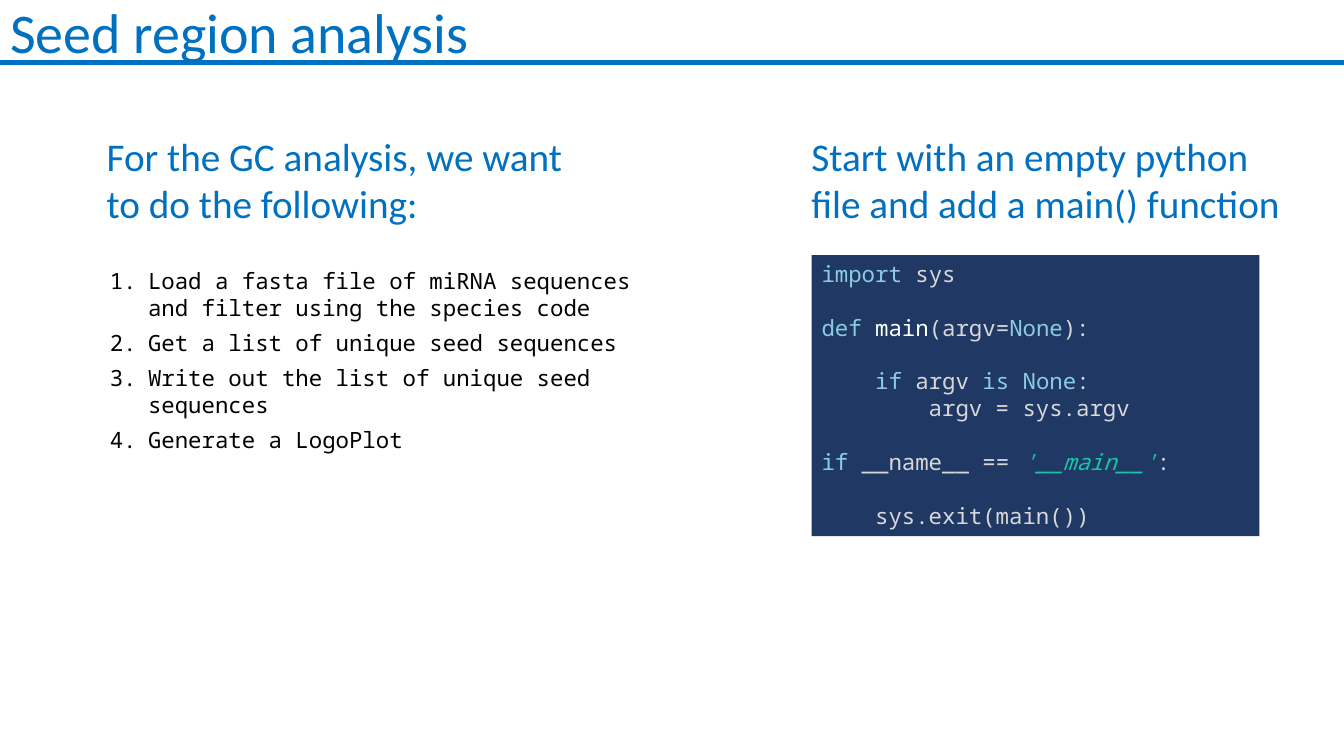
from lxml import etree
from pptx import Presentation
from pptx.dml.color import RGBColor
from pptx.enum.shapes import MSO_CONNECTOR, MSO_SHAPE
from pptx.enum.text import MSO_ANCHOR, MSO_AUTO_SIZE, PP_ALIGN
from pptx.oxml.ns import qn
from pptx.util import Inches, Pt

RECTANGLE = MSO_SHAPE.RECTANGLE
STRAIGHT = MSO_CONNECTOR.STRAIGHT
TOP, MIDDLE = MSO_ANCHOR.TOP, MSO_ANCHOR.MIDDLE
LEFT = PP_ALIGN.LEFT
FIXED_SIZE = MSO_AUTO_SIZE.NONE

SLIDE_WIDTH, SLIDE_HEIGHT = 13.33, 7.5
BLUE, BLACK, NAVY = "0070C0", "000000", "203864"
KEYWORD, PLAIN, FUNCTION, STRING = "8DCBE2", "D8D8D8", "FFFFFF", "17C6A3"
SANS, MONO = "Calibri", "Noto Sans Mono"
CODE_LINE_HEIGHT = 19.2

STEPS = [
    "Load a fasta file of miRNA sequences and filter using the species code",
    "Get a list of unique seed sequences",
    "Write out the list of unique seed sequences",
    "Generate a LogoPlot",
]
CODE_BLOCKS = [
    [[("import", KEYWORD), (" sys", PLAIN)]],
    [[("def ", KEYWORD), ("main", FUNCTION), ("(argv=", PLAIN),
      ("None", KEYWORD), ("):", PLAIN)]],
    [[("    if ", KEYWORD), ("argv ", PLAIN), ("is None", KEYWORD), (":", PLAIN)],
     [("        argv = sys.argv", PLAIN)]],
    [[("if", KEYWORD), (" __name__ == ", PLAIN), ("'__main__'", STRING), (":", PLAIN)]],
    [[("    sys.exit(main())", PLAIN)]],
]


def color(hex_string):
    return RGBColor.from_string(hex_string)


def add_run(paragraph, text, font=SANS, size=28, fill=BLUE, italic=False):
    run = paragraph.add_run()
    run.text = text
    run.font.name = font
    run.font.size = Pt(size)
    run.font.italic = italic
    run.font.color.rgb = color(fill)


class SlideBuilder:
    """Adds styled elements to one slide."""

    def __init__(self, presentation):
        self.slide = presentation.slides.add_slide(presentation.slide_layouts[5])

    def prepare_frame(self, shape, anchor=TOP):
        frame = shape.text_frame
        frame.word_wrap = True
        frame.auto_size = FIXED_SIZE
        frame.vertical_anchor = anchor
        return frame

    def add_text_box(self, left, top, width, height):
        box = self.slide.shapes.add_textbox(
            Inches(left), Inches(top), Inches(width), Inches(height))
        return self.prepare_frame(box)

    def add_title(self, text, height):
        title = self.slide.shapes.title
        title.left = title.top = Inches(0)
        title.width, title.height = Inches(SLIDE_WIDTH), Inches(height)
        paragraph = self.prepare_frame(title, MIDDLE).paragraphs[0]
        paragraph.alignment = LEFT
        paragraph.line_spacing = 0.9
        add_run(paragraph, text, size=40)

    def add_rule(self, top):
        rule = self.slide.shapes.add_connector(
            STRAIGHT, Inches(0), Inches(top), Inches(SLIDE_WIDTH), Inches(top))
        rule.line.color.rgb = color(BLUE)
        rule.line.width = Pt(3)
        etree.SubElement(rule._element.spPr, qn("a:effectLst"))

    def add_heading(self, text, left, width):
        paragraph = self.add_text_box(left, 1.26, width, 1.04).paragraphs[0]
        paragraph.space_after = Pt(12)
        add_run(paragraph, text)

    def add_numbered_list(self, items, left, top, width, height):
        frame = self.add_text_box(left, top, width, height)
        for index, item in enumerate(items):
            paragraph = frame.add_paragraph() if index else frame.paragraphs[0]
            paragraph.space_after = Pt(6)
            properties = paragraph._p.get_or_add_pPr()
            properties.set("marL", str(Inches(0.38)))
            properties.set("indent", str(Inches(-0.38)))
            etree.SubElement(properties, qn("a:buFont"), typeface="+mj-lt")
            etree.SubElement(properties, qn("a:buAutoNum"), type="arabicPeriod")
            add_run(paragraph, item, font=MONO, size=16, fill=BLACK)

    def add_code(self, blocks, left, top, width, height):
        panel = self.slide.shapes.add_shape(
            RECTANGLE, Inches(left), Inches(top), Inches(width), Inches(height))
        panel.shadow.inherit = False
        panel.fill.solid()
        panel.fill.fore_color.rgb = color(NAVY)
        panel.line.fill.background()
        frame = self.prepare_frame(panel)
        for block_index, block in enumerate(blocks):
            for line_index, line in enumerate(block):
                first = block_index == line_index == 0
                paragraph = frame.paragraphs[0] if first else frame.add_paragraph()
                paragraph.alignment = LEFT
                if block_index and not line_index:
                    paragraph.space_before = Pt(CODE_LINE_HEIGHT)
                for text, fill in line:
                    add_run(paragraph, text, font=MONO, size=16, fill=fill,
                            italic=fill == STRING)


presentation = Presentation()
presentation.slide_width = Inches(SLIDE_WIDTH)
presentation.slide_height = Inches(SLIDE_HEIGHT)

builder = SlideBuilder(presentation)
builder.add_title("Seed region analysis", 0.7)
builder.add_rule(0.62)
builder.add_heading("For the GC analysis, we want to do the following:", 0.96, 4.74)
builder.add_numbered_list(STEPS, 0.99, 2.6, 5.75, 1.97)
builder.add_heading("Start with an empty python file and add a main() function", 7.95, 4.96)
builder.add_code(CODE_BLOCKS, 8.05, 2.53, 4.44, 2.79)

presentation.save("out.pptx")
